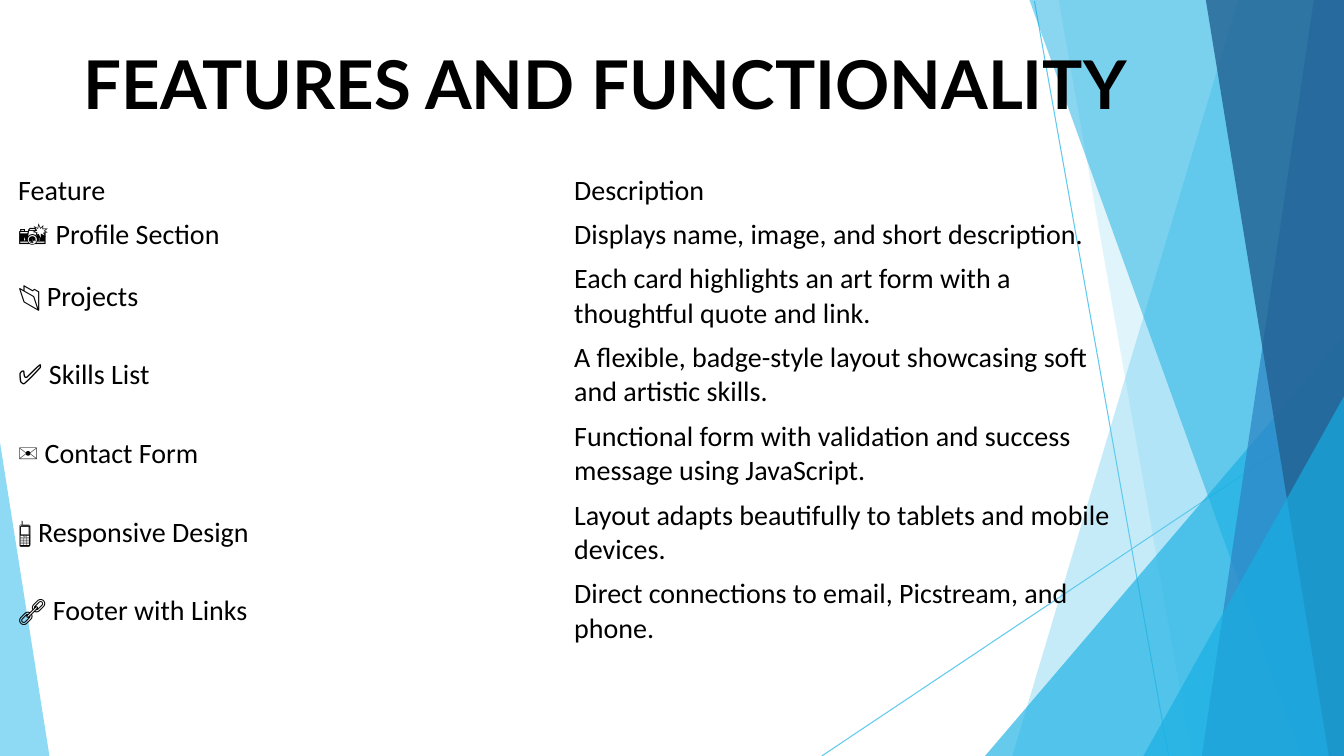
import dataclasses

import lxml.etree
import pptx
import pptx.dml.color
import pptx.enum.shapes
import pptx.enum.text
import pptx.oxml
import pptx.oxml.ns
import pptx.util

Inches = pptx.util.Inches
WIDE, HIGH = 13.33, 7.5
PLAIN = "{2D5ABB26-0587-4C30-8999-92F81FD0307C}"  # table style without grid
COLORS = {
    "sky": "5FCAEE",
    "cyan": "17AFE3",
    "blue": "2D83C3",
    "navy": "226192",
    "black": "000000",
}


@dataclasses.dataclass
class Facet:
    color: str
    alpha: int
    points: list[tuple[float, float]]


@dataclasses.dataclass
class Ray:
    start: tuple[float, float]
    end: tuple[float, float]


@dataclasses.dataclass
class Feature:
    name: str
    text: str
    height: float = 0.78


def band(color: str, alpha: int, top: float, foot: float) -> Facet:
    """Describe a full-height facet whose slanted left edge runs from top to foot."""
    return Facet(color, alpha, [(WIDE, 0), (top, 0), (foot, HIGH), (WIDE, HIGH)])


def wedge(color: str, alpha: int, top: float, foot: float) -> Facet:
    """Describe a triangle in the lower right corner."""
    return Facet(color, alpha, [(WIDE, top), (foot, HIGH), (WIDE, HIGH)])


RAYS = [Ray((10.26, 0.01), (11.59, HIGH)), Ray((WIDE, 4.04), (8.15, HIGH))]
FACETS = [
    band("sky", 36, 12.28, 10.04),
    band("sky", 20, 10.5, 11.82),
    wedge("cyan", 66, 3.33, 9.77),
    band("cyan", 50, 10.21, 12.91),
    band("blue", 70, 13.03, 11.92),
    band("navy", 80, 11.96, 13.18),
    wedge("cyan", 66, 3.93, 11.34),
    Facet("sky", 70, [(0, 4.39), (0, HIGH), (0.49, HIGH)]),
]
ROWS = [
    Feature("Feature", "Description", 0.44),
    Feature("📸 Profile Section", "Displays name, image, and short description.", 0.44),
    Feature("📂 Projects", "Each card highlights an art form with a thoughtful quote and link."),
    Feature("✅ Skills List", "A flexible, badge-style layout showcasing soft and artistic skills."),
    Feature("✉️ Contact Form", "Functional form with validation and success message using JavaScript."),
    Feature("📱 Responsive Design", "Layout adapts beautifully to tablets and mobile devices."),
    Feature("🔗 Footer with Links", "Direct connections to email, Picstream, and phone."),
]


def shade(name: str) -> pptx.dml.color.RGBColor:
    return pptx.dml.color.RGBColor.from_string(COLORS[name])


def style(frame, font: str, size: int, bold: bool = False) -> None:
    for part in frame.paragraphs:
        part.alignment = pptx.enum.text.PP_ALIGN.LEFT
        for run in part.runs:
            run.font.name = font
            run.font.size = pptx.util.Pt(size)
            run.font.bold = bold
            run.font.color.rgb = shade("black")


def draw_ray(slide, ray: Ray) -> None:
    ends = [Inches(value) for value in ray.start + ray.end]
    line = slide.shapes.add_connector(pptx.enum.shapes.MSO_CONNECTOR.STRAIGHT, *ends)
    line.line.color.rgb = shade("sky")
    line.line.width = pptx.util.Pt(0.75)
    props = line.element.find(pptx.oxml.ns.qn("p:spPr"))
    lxml.etree.SubElement(props, pptx.oxml.ns.qn("a:effectLst"))


def draw_facet(slide, facet: Facet) -> None:
    first, *rest = [(Inches(x), Inches(y)) for x, y in facet.points]
    pen = slide.shapes.build_freeform(*first)
    pen.add_line_segments(rest, close=True)
    shape = pen.convert_to_shape()
    shape.shadow.inherit = False
    shape.line.fill.background()
    shape.fill.solid()
    shape.fill.fore_color.rgb = shade(facet.color)
    paint = next(shape.element.iter(pptx.oxml.ns.qn("a:srgbClr")))
    alpha = lxml.etree.SubElement(paint, pptx.oxml.ns.qn("a:alpha"))
    alpha.set("val", str(facet.alpha * 1000))


def draw_title(slide, text: str) -> None:
    title = slide.shapes.title
    title.left, title.top = Inches(0.83), Inches(0.42)
    title.width, title.height = Inches(11.68), Inches(1.62)
    frame = title.text_frame
    frame.text = text
    frame.word_wrap = True
    frame.auto_size = pptx.enum.text.MSO_AUTO_SIZE.NONE
    frame.vertical_anchor = pptx.enum.text.MSO_ANCHOR.TOP
    frame.margin_left = frame.margin_right = 0
    frame.margin_top = frame.margin_bottom = 0
    style(frame, "Lato", 48, bold=True)
    title.element.getparent().append(title.element)  # in front of the facets


def draw_table(slide, rows: list[Feature]) -> None:
    height = sum(row.height for row in rows)
    frame = slide.shapes.add_table(
        len(rows), 2, Inches(0.08), Inches(1.67), Inches(11.03), Inches(height)
    )
    table = frame.table
    table.first_row = table.horz_banding = False
    next(frame.element.iter(pptx.oxml.ns.qn("a:tableStyleId"))).text = PLAIN
    for line, row in zip(table.rows, rows):
        line.height = Inches(row.height)
        for cell, text in zip(line.cells, (row.name, row.text)):
            cell.fill.background()
            cell.vertical_anchor = pptx.enum.text.MSO_ANCHOR.MIDDLE
            cell.text_frame.text = text
            style(cell.text_frame, "Calibri", 20)


def main() -> None:
    deck = pptx.Presentation()
    deck.slide_width, deck.slide_height = Inches(WIDE), Inches(HIGH)
    slide = deck.slides.add_slide(deck.slide_layouts.get_by_name("Title Only"))
    for ray in RAYS:
        draw_ray(slide, ray)
    for facet in FACETS:
        draw_facet(slide, facet)
    draw_title(slide, "FEATURES AND FUNCTIONALITY")
    draw_table(slide, ROWS)
    deck.save("out.pptx")


if __name__ == "__main__":
    main()
